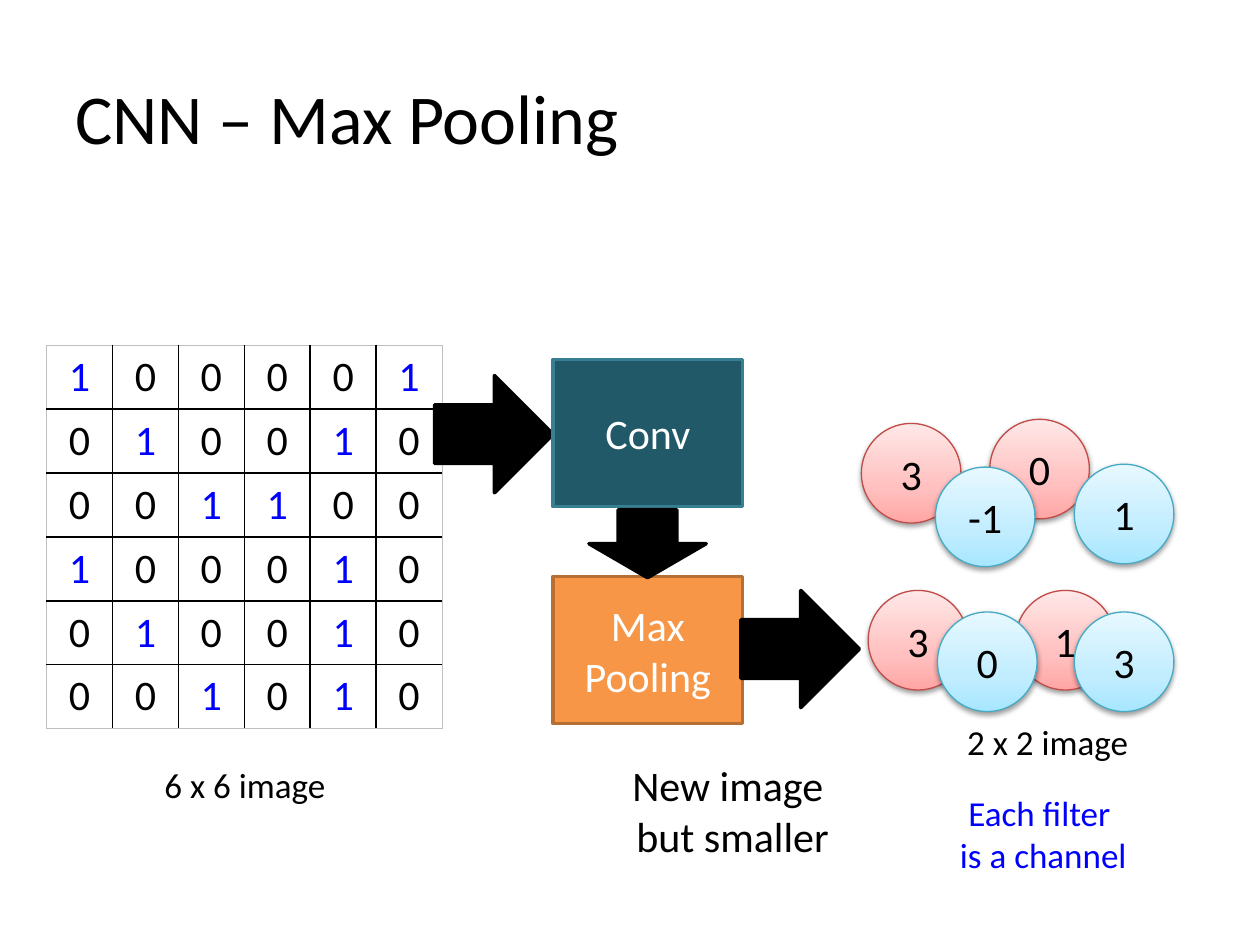
from copy import deepcopy
from lxml.etree import SubElement
from pptx import Presentation
from pptx.dml.color import RGBColor
from pptx.enum.shapes import MSO_SHAPE
from pptx.enum.text import MSO_ANCHOR, MSO_AUTO_SIZE, PP_ALIGN
from pptx.oxml import parse_xml
from pptx.oxml.ns import nsdecls, qn
from pptx.util import Pt

HUES = {
    "black": "000000", "white": "FFFFFF", "blue": "0000FF", "grey": "BFBFBF",
    "teal": "215968", "teal edge": "377F92",
    "orange": "F79646", "orange edge": "B76F34",
    "red ball": "BF4C48", "blue ball": "46AAC5",
}
FADES = {
    "red ball": ("FFA6A5", "FFC0BF", "FFE7E7"),
    "blue ball": ("A7E6FF", "C1EDFF", "E7F8FF"),
}
STOPS = (0, 0.35, 1)
FONT = "Calibri"

TITLE = "CNN – Max Pooling"
PIXELS = ["100001", "010010", "001100", "100010", "010010", "001010"]
GRID = (26.6, 197.3)
CELL = (37.7, 36.5)

BALL = 56.9
# Value, left, top
BALLS = {
    "red ball": [("3", 492.2, 242), ("0", 565.6, 239.6),
                 ("1", 580.3, 337.4), ("3", 496.1, 337.4)],
    "blue ball": [("-1", 534.5, 266.9), ("1", 613.9, 265.3),
                  ("3", 613.9, 349.7), ("0", 535.7, 349.7)],
}
# Lines, box, size, colour
NOTES = [
    (["6 x 6 image"], (47.5, 432.7, 185, 31.5), 20, "black"),
    (["2 x 2 image"], (506.2, 408.2, 185, 31.5), 20, "black"),
    (["Each filter ", "is a channel"], (506.9, 448.6, 178.6, 55.7), 20, "blue"),
    (["New image ", "but smaller"], (329, 430.6, 179.3, 65.4), 24, "black"),
]
# Lines, box, colour
STEPS = [
    (["Conv"], (316, 205.4, 108.4, 84.2), "teal"),
    (["Max", "Pooling"], (316, 329.4, 108.4, 84.2), "orange"),
]
# Box, turn
ENTRY = ((248.4, 214.6, 67.7, 67), 0)
FLOWS = [((423.4, 337.4, 67.7, 67), 0), ((350.6, 277.2, 38.9, 67), 90)]


def hue(name):
    return RGBColor.from_string(HUES[name])


def write(frame, lines, size, color, align=PP_ALIGN.CENTER):
    frame.text = "\n".join(lines)
    for para in frame.paragraphs:
        para.alignment = align
        font = para.font
        font.name, font.size = FONT, Pt(size)
        font.color.rgb = hue(color)


def shape(kind, box, edge, width):
    item = slide.shapes.add_shape(kind, *map(Pt, box))
    item.shadow.inherit = False
    item.line.color.rgb = hue(edge)
    item.line.width = Pt(width)
    return item


def arrow(box, turn):
    item = shape(MSO_SHAPE.RIGHT_ARROW, box, "black", 2)
    item.fill.solid()
    item.fill.fore_color.rgb = hue("black")
    item.rotation = turn


def ball(text, left, top, kind):
    item = shape(MSO_SHAPE.OVAL, (left, top, BALL, BALL), kind, 0.75)
    fill = item.fill
    fill.gradient()
    fill.gradient_angle = 90
    props = item.element.spPr
    stops = props.find(".//" + qn("a:gsLst"))
    stops.append(deepcopy(stops[0]))
    for stop, pos, color in zip(fill.gradient_stops, STOPS, FADES[kind]):
        stop.position = pos
        stop.color.rgb = RGBColor.from_string(color)
    props.find(qn("a:effectLst")).append(parse_xml(
        f'<a:outerShdw {nsdecls("a")} blurRad="{Pt(3.1)}" dist="{Pt(1.6)}" '
        'dir="5400000" rotWithShape="0"><a:srgbClr val="000000">'
        '<a:alpha val="38000"/></a:srgbClr></a:outerShdw>'))
    write(item.text_frame, [text], 24, "black")
    item.text_frame.vertical_anchor = MSO_ANCHOR.MIDDLE


def border(cell, side, color, width):
    props = cell._tc.get_or_add_tcPr()
    line = SubElement(props, qn("a:ln" + side), w=str(Pt(width)))
    fill = SubElement(line, qn("a:solidFill"))
    SubElement(fill, qn("a:srgbClr"), val=HUES[color])


deck = Presentation()
deck.slide_width, deck.slide_height = Pt(720), Pt(540)
slide = deck.slides.add_slide(deck.slide_layouts[5])

# Title
title = slide.shapes.title
title.left, title.top, title.width, title.height = map(Pt, (36, 21.6, 648, 90))
write(title.text_frame, [TITLE], 40, "black", PP_ALIGN.LEFT)
title.text_frame.vertical_anchor = MSO_ANCHOR.MIDDLE

# Pixel grid
count = len(PIXELS)
size = [count * side for side in CELL]
table = slide.shapes.add_table(count, count, *map(Pt, (*GRID, *size))).table
table.first_row = table.horz_banding = False
for i in range(count):
    table.columns[i].width, table.rows[i].height = map(Pt, CELL)
for r, row in enumerate(PIXELS):
    for c, bit in enumerate(row):
        cell = table.cell(r, c)
        write(cell.text_frame, [bit], 24, "blue" if bit == "1" else "black")
        outer = {"L": c == 0, "R": c == count - 1,
                 "T": r == 0, "B": r == count - 1}
        for side, rim in outer.items():
            border(cell, side, *(("grey", 0.5) if rim else ("black", 1)))
        cell.fill.background()

# Output channels
for kind, group in BALLS.items():
    for text, left, top in group:
        ball(text, left, top, kind)

# Captions
for lines, box, size, color in NOTES:
    frame = slide.shapes.add_textbox(*map(Pt, box)).text_frame
    frame.word_wrap = True
    frame.auto_size = MSO_AUTO_SIZE.SHAPE_TO_FIT_TEXT
    write(frame, lines, size, color)

# Steps and the arrows between them
arrow(*ENTRY)
for lines, box, color in STEPS:
    item = shape(MSO_SHAPE.RECTANGLE, box, color + " edge", 2)
    item.fill.solid()
    item.fill.fore_color.rgb = hue(color)
    write(item.text_frame, lines, 24, "white")
    item.text_frame.vertical_anchor = MSO_ANCHOR.MIDDLE
for flow in FLOWS:
    arrow(*flow)

deck.save("out.pptx")
